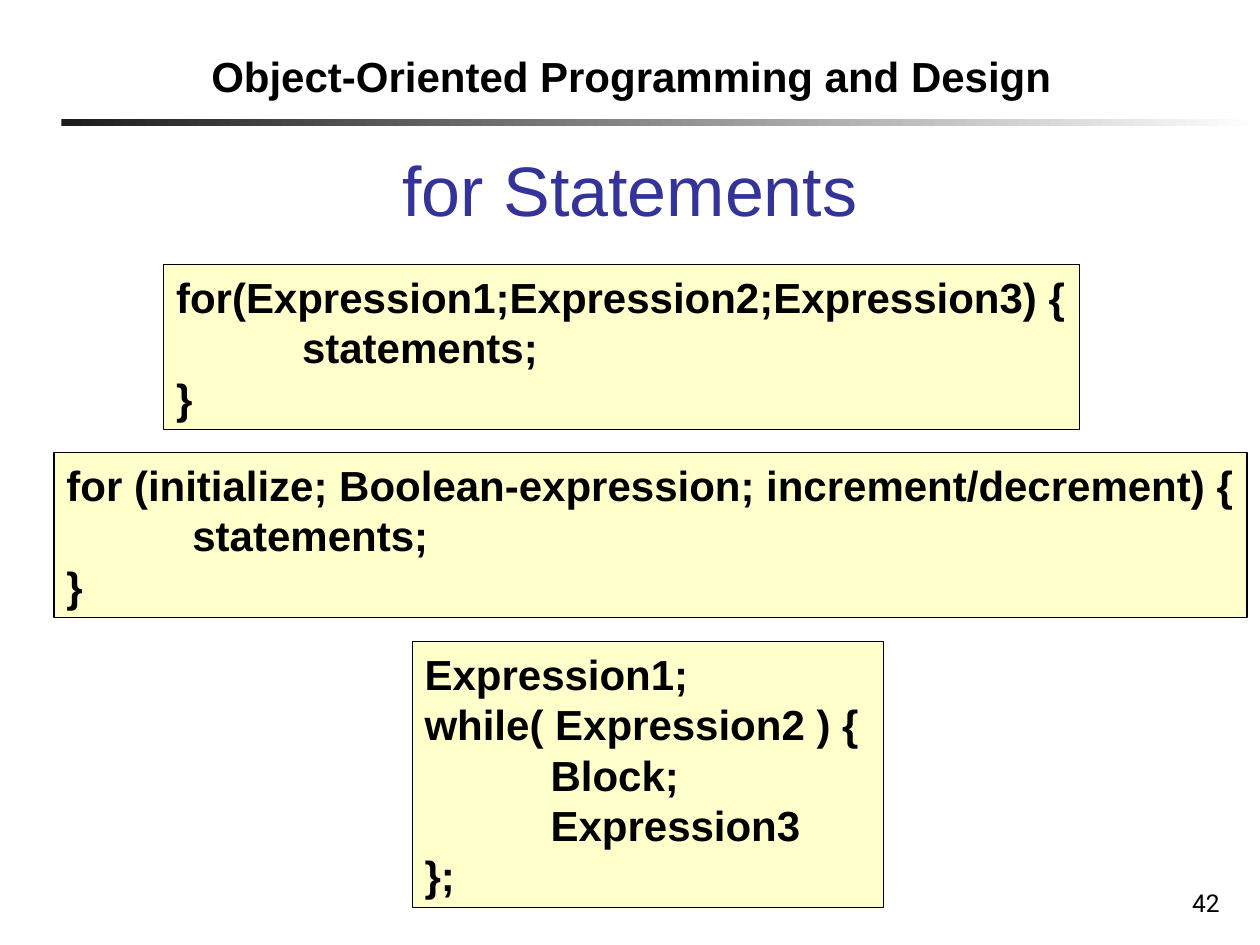
"""Build the slide on for statements."""
from lxml import etree
from pptx import Presentation
from pptx.dml.color import RGBColor
from pptx.enum.shapes import MSO_SHAPE
from pptx.enum.text import MSO_ANCHOR, MSO_AUTO_SIZE, PP_ALIGN
from pptx.oxml.ns import qn
from pptx.util import Cm, Pt

RECTANGLE = MSO_SHAPE.RECTANGLE
TOP, MIDDLE, BOTTOM = MSO_ANCHOR.TOP, MSO_ANCHOR.MIDDLE, MSO_ANCHOR.BOTTOM
LEFT, CENTER, RIGHT = PP_ALIGN.LEFT, PP_ALIGN.CENTER, PP_ALIGN.RIGHT
GROW = MSO_AUTO_SIZE.SHAPE_TO_FIT_TEXT
FIXED = MSO_AUTO_SIZE.NONE

SLIDE_SIZE = (25.4, 19.05)
RULE_BOX = (1.24, 2.39, 24.16, 0.15)
RULE_COLORS = ("1C1C1C", "FFFFFF")
TAB_WIDTH = 2.54

BOLD = {"name": "Arial", "size": Pt(24), "bold": True}
TITLE = {"name": "Arial", "size": Pt(40), "bold": False}
NUMBER = {"name": "Roboto", "size": Pt(14), "bold": False}

LABELS = [
    ("Object-Oriented Programming and Design", (4.01, 0.89, 17.6, 1.27), BOLD, "000000",
     LEFT, {"word_wrap": False, "auto_size": GROW, "vertical_anchor": TOP}),
    ("42", (19.56, 17.35, 5.28, 1.27), NUMBER, "000000",
     RIGHT, {"word_wrap": True, "auto_size": FIXED, "vertical_anchor": BOTTOM}),
    ("for Statements", (0, 0.71, 25.4, 4.06), TITLE, "333399",
     CENTER, {"word_wrap": True, "auto_size": FIXED, "vertical_anchor": BOTTOM}),
]

CODE_FRAME = {"word_wrap": False, "auto_size": GROW, "vertical_anchor": MIDDLE}
CODE_BOXES = [
    ((1.09, 9.12, 24.05, 3.33),
     ["for (initialize; Boolean-expression; increment/decrement) {", "\tstatements;", "}"]),
    ((3.3, 5.33, 18.47, 3.33),
     ["for(Expression1;Expression2;Expression3) {", "\tstatements;", "}"]),
    ((8.31, 12.93, 9.5, 5.36),
     ["Expression1;", "while( Expression2 ) {", "\tBlock;", "\tExpression3", "};"]),
]


def color(value):
    return RGBColor.from_string(value)


def lengths(box):
    return [Cm(value) for value in box]


def set_attributes(target, values):
    for name, value in values.items():
        setattr(target, name, value)


def add_tab_stop(paragraph):
    properties = paragraph._p.get_or_add_pPr()
    tabs = etree.SubElement(properties, qn("a:tabLst"))
    etree.SubElement(tabs, qn("a:tab"), pos=str(Cm(TAB_WIDTH)), algn="l")


def write_lines(shape, lines, font, font_color, alignment, frame_format):
    frame = shape.text_frame
    set_attributes(frame, frame_format)
    for index, line in enumerate(lines):
        paragraph = frame.add_paragraph() if index else frame.paragraphs[0]
        paragraph.alignment = alignment
        if line.startswith("\t"):
            add_tab_stop(paragraph)
        run = paragraph.add_run()
        run.text = line
        set_attributes(run.font, font)
        run.font.color.rgb = color(font_color)


def add_rectangle(slide, box):
    shape = slide.shapes.add_shape(RECTANGLE, *lengths(box))
    shape.shadow.inherit = False
    return shape


def add_rule(slide):
    rule = add_rectangle(slide, RULE_BOX)
    rule.line.fill.background()
    rule.fill.gradient()
    rule.fill.gradient_angle = 0
    for position, (stop, value) in enumerate(zip(rule.fill.gradient_stops, RULE_COLORS)):
        stop.position = position
        stop.color.rgb = color(value)


def add_code_box(slide, box, lines):
    shape = add_rectangle(slide, box)
    shape.fill.solid()
    shape.fill.fore_color.rgb = color("FFFFCC")
    shape.line.color.rgb = color("000000")
    shape.line.width = Pt(0.75)
    write_lines(shape, lines, BOLD, "000000", LEFT, CODE_FRAME)


def main():
    presentation = Presentation()
    presentation.slide_width, presentation.slide_height = lengths(SLIDE_SIZE)
    slide = presentation.slides.add_slide(presentation.slide_layouts[6])
    add_rule(slide)
    for text, box, *text_format in LABELS:
        write_lines(slide.shapes.add_textbox(*lengths(box)), [text], *text_format)
    for box, lines in CODE_BOXES:
        add_code_box(slide, box, lines)
    presentation.save("out.pptx")


if __name__ == "__main__":
    main()
